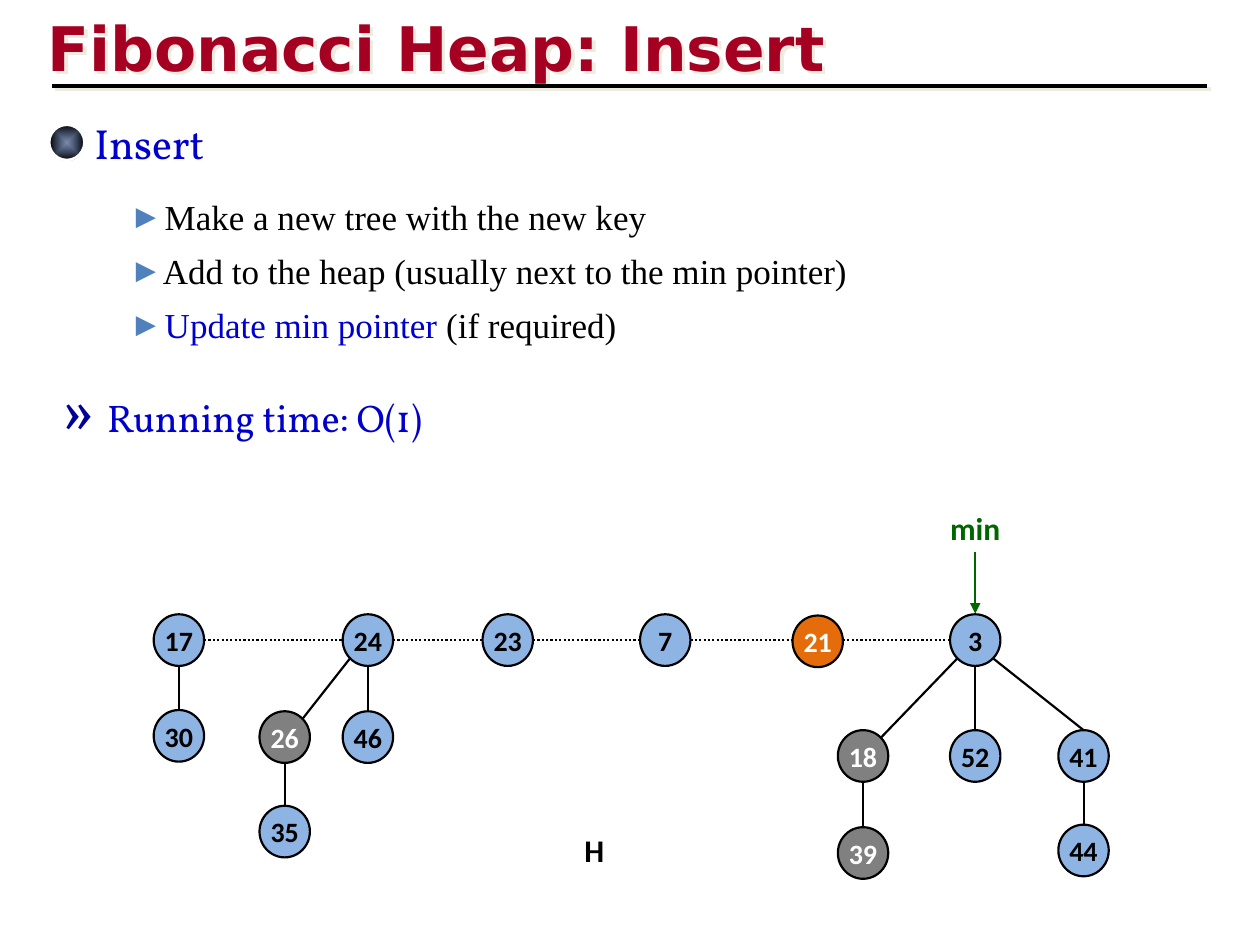
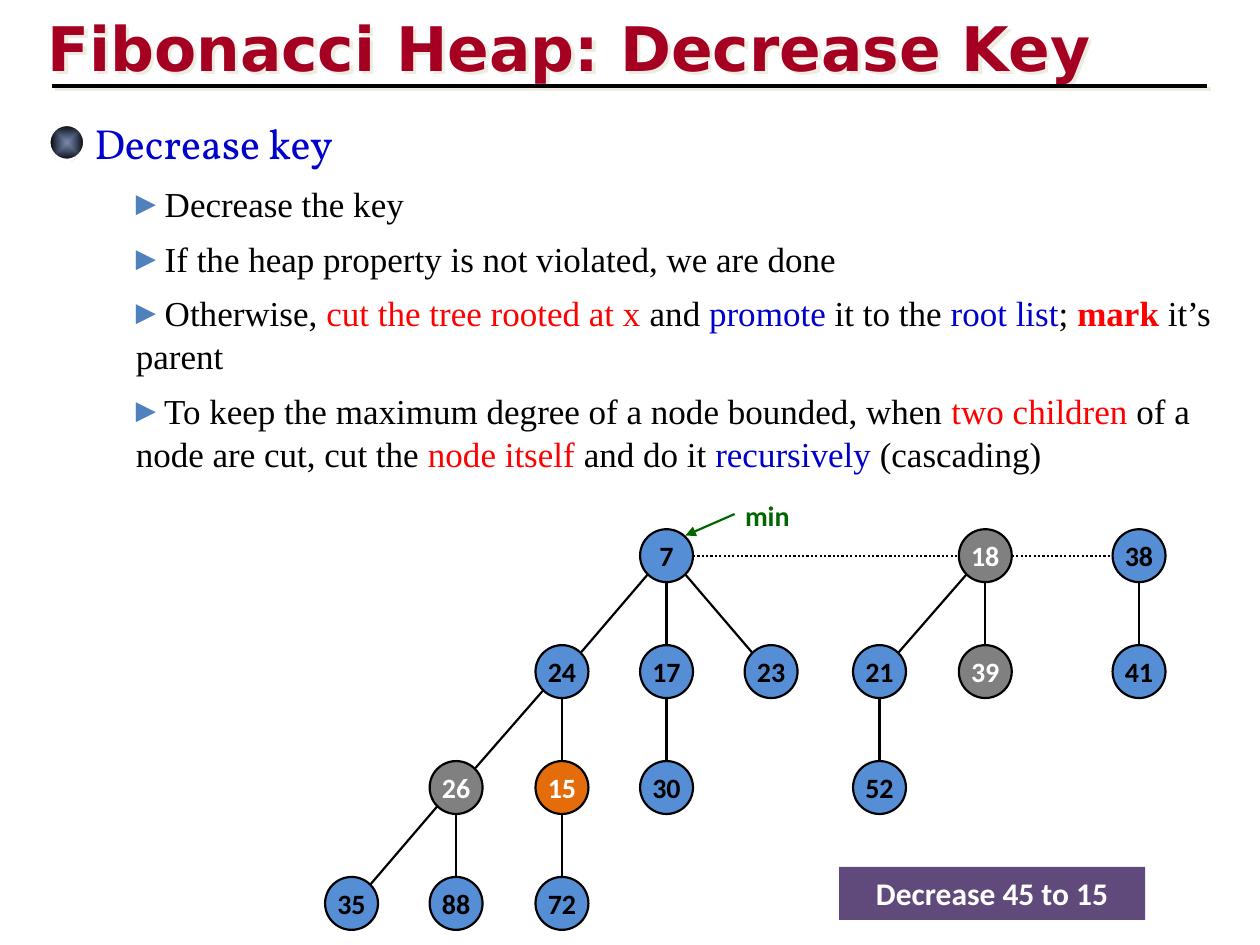
from dataclasses import dataclass
from itertools import pairwise
from math import hypot

from pptx import Presentation
from pptx.dml.color import RGBColor
from pptx.enum import dml, shapes, text
from pptx.oxml import parse_xml
from pptx.oxml.ns import nsdecls
from pptx.util import Inches, Pt


@dataclass(frozen=True)
class Theme:
    ink: str = "000000"
    white: str = "FFFFFF"
    title: str = "A50021"
    key: str = "0000CC"
    alert: str = "FF0000"
    quote: str = "000099"
    pointer: str = "006600"
    marked: str = "808080"
    changed: str = "E46C0A"
    banner: str = "604A7B"
    bullet: str = "4F81BD"
    shadow: str = "EEECE1"
    title_font: str = "DejaVu Sans"
    heading_font: str = "Vollkorn"
    body_font: str = "Times New Roman"
    node_font: str = "Calibri"
    title_size: float = 35.1
    heading_size: int = 24
    body_size: int = 20
    label_size: int = 18
    node_size: int = 16


theme = Theme()

# Runs are (words, colour) or (words, colour, bold).
# Nodes are key: (centre x, centre y, parent key, special fill).
insert = dict(
    title="Fibonacci Heap: Insert",
    heading="Insert",
    steps_top=1.49,
    steps=[
        [(" Make a new tree with the new key", theme.ink)],
        [(" Add to the heap (usually next to the min pointer)", theme.ink)],
        [(" Update min pointer ", theme.key), ("(if required)", theme.ink)],
    ],
    node_fill="8EB4E3",
    node_width=0.4,
    node_height=0.41,
    nodes={
        "17": (1.42, 5.08, None, None),
        "24": (2.92, 5.08, None, None),
        "23": (4.03, 5.08, None, None),
        "7": (5.28, 5.08, None, None),
        "21": (6.49, 5.09, None, theme.changed),
        "3": (7.74, 5.08, None, None),
        "30": (1.42, 5.84, "17", None),
        "26": (2.26, 5.85, "24", theme.marked),
        "46": (2.92, 5.85, "24", None),
        "35": (2.26, 6.6, "26", None),
        "18": (6.85, 6, "3", theme.marked),
        "52": (7.74, 6, "3", None),
        "41": (8.6, 6, "3", None),
        "39": (6.85, 6.77, "18", theme.marked),
        "44": (8.6, 6.75, "41", None),
    },
    min_at=(7.74, 4.19),
    min_size=theme.label_size,
    pointer=((7.74, 4.38), (7.74, 4.87)),
)

row = [4.41 + 0.92 * level for level in range(4)]
decrease_key = dict(
    title="Fibonacci Heap: Decrease Key",
    heading="Decrease key",
    steps_top=1.39,
    steps=[
        [(" Decrease the key", theme.ink)],
        [(" If the heap property is not violated, we are done", theme.ink)],
        [(" Otherwise, ", theme.ink), ("cut the tree rooted at x ", theme.alert),
         ("and ", theme.ink), ("promote", theme.key), (" it to the ", theme.ink),
         ("root list", theme.key), ("; ", theme.ink), ("mark ", theme.alert, True),
         ("it’s parent", theme.ink)],
        [(" To keep the maximum degree of a node bounded, when ", theme.ink),
         ("two children ", theme.alert), ("of a node are cut, cut the ", theme.ink),
         ("node itself ", theme.alert), ("and do it ", theme.ink),
         ("recursively", theme.key), (" (cascading)", theme.ink)],
    ],
    node_fill="558ED5",
    node_width=0.42,
    node_height=0.42,
    nodes={
        "7": (5.29, row[0], None, None),
        "18": (7.82, row[0], None, theme.marked),
        "38": (9.04, row[0], None, None),
        "24": (4.46, row[1], "7", None),
        "17": (5.29, row[1], "7", None),
        "23": (6.12, row[1], "7", None),
        "21": (6.98, row[1], "18", None),
        "39": (7.82, row[1], "18", theme.marked),
        "41": (9.04, row[1], "38", None),
        "26": (3.62, row[2], "24", theme.marked),
        "15": (4.46, row[2], "24", theme.changed),
        "30": (5.29, row[2], "17", None),
        "52": (6.98, row[2], "21", None),
        "35": (2.79, row[3], "26", None),
        "88": (3.62, row[3], "26", None),
        "72": (4.46, row[3], "15", None),
    },
    min_at=(6.09, 4.09),
    min_size=theme.node_size,
    pointer=((5.83, 4.08), (5.44, 4.25)),
)


def write(paragraph, runs, size, font, bold=False):
    """Add (words, colour[, bold]) runs to a paragraph."""
    for words, colour, *weight in runs:
        run = paragraph.add_run()
        run.text = words
        run.font.size = Pt(size)
        run.font.name = font
        run.font.bold = weight[0] if weight else bold
        run.font.color.rgb = RGBColor.from_string(colour)


def draw_line(slide, start, end, colour=theme.ink, width=1.25):
    line = slide.shapes.add_connector(
        shapes.MSO_CONNECTOR.STRAIGHT, *map(Inches, (*start, *end)))
    line.line.color.rgb = RGBColor.from_string(colour)
    line.line.width = Pt(width)
    line._element.spPr.append(parse_xml(f"<a:effectLst {nsdecls('a')}/>"))
    return line


shadow_xml = (
    f'<a:outerShdw {nsdecls("a")} dist="35560" dir="2700000" algn="ctr" '
    f'rotWithShape="0"><a:srgbClr val="{theme.shadow}"/></a:outerShdw>')
ball_xml = (
    f'<a:gradFill {nsdecls("a")} rotWithShape="1"><a:gsLst>'
    '<a:gs pos="0"><a:srgbClr val="002060"><a:alpha val="51000"/></a:srgbClr></a:gs>'
    f'<a:gs pos="100000"><a:srgbClr val="{theme.ink}"/></a:gs></a:gsLst>'
    '<a:path path="shape"><a:fillToRect l="50000" t="50000" r="50000" b="50000"/>'
    '</a:path></a:gradFill>')
bullet_xml = [
    f'<a:buClr {nsdecls("a")}><a:srgbClr val="{theme.bullet}"/></a:buClr>',
    f'<a:buSzPct {nsdecls("a")} val="75000"/>',
    f'<a:buFont {nsdecls("a")} typeface="{theme.title_font}"/>',
    f'<a:buChar {nsdecls("a")} char="▶"/>',
]
joined_at_top = {"41"}

deck = Presentation()
deck.slide_width, deck.slide_height = Inches(10), Inches(7.5)
slides = []

for topic in (insert, decrease_key):
    slide = deck.slides.add_slide(deck.slide_layouts[6])
    slides.append(slide)

    # Title and rule
    title = slide.shapes.add_textbox(*map(Inches, (0.28, 0.03, 9.3, 0.67)))
    title.text_frame.word_wrap = True
    write(title.text_frame.paragraphs[0], [(topic["title"], theme.title)],
          theme.title_size, theme.title_font, True)
    title_effects = parse_xml(f"<a:effectLst {nsdecls('a')}/>")
    title_effects.append(parse_xml(shadow_xml))
    title._element.spPr.append(title_effects)
    rule = draw_line(slide, (0.41, 0.68), (9.58, 0.68), width=2.25)
    rule._element.spPr[-1].append(parse_xml(shadow_xml))

    # Heading with its ball
    ball = slide.shapes.add_shape(
        shapes.MSO_SHAPE.OVAL, *map(Inches, (0.39, 0.99, 0.28, 0.28)))
    ball.shadow.inherit = False
    ball.line.color.rgb = RGBColor.from_string(theme.white)
    ball.line.width = Pt(1.5)
    ball._element.spPr.prstGeom.addnext(parse_xml(ball_xml))
    heading = slide.shapes.add_textbox(*map(Inches, (0.65, 0.88, 6.99, 0.5)))
    heading.text_frame.word_wrap = True
    write(heading.text_frame.paragraphs[0], [(topic["heading"], theme.key)],
          theme.heading_size, theme.heading_font)

    # Steps
    steps = slide.shapes.add_textbox(
        *map(Inches, (0.98, topic["steps_top"], 8.8, 0.1 + 0.4 * len(topic["steps"]))))
    steps.text_frame.word_wrap = True
    for number, runs in enumerate(topic["steps"]):
        step = steps.text_frame.paragraphs[0] if number == 0 else steps.text_frame.add_paragraph()
        for xml in bullet_xml:
            step._p.get_or_add_pPr().append(parse_xml(xml))
        step.line_spacing = 1.04
        if number:
            step.space_before = Pt(6)
        write(step, runs, theme.body_size, theme.body_font)

    # Root list and tree edges, from rim to rim
    nodes = topic["nodes"]
    half_width, half_height = topic["node_width"] / 2, topic["node_height"] / 2
    roots = [node for node in nodes.values() if node[2] is None]
    for left, right in pairwise(roots):
        link = draw_line(slide, (left[0] + half_width, roots[0][1]),
                         (right[0] - half_width, roots[0][1]))
        link.line.dash_style = dml.MSO_LINE.ROUND_DOT
    for key, (x, y, parent, _) in nodes.items():
        if parent is None:
            continue
        parent_x, parent_y = nodes[parent][:2]
        side = (x > parent_x) - (x < parent_x)
        reach = hypot(side, 1)
        start = (parent_x + side * half_width / reach, parent_y + half_height / reach)
        if key in joined_at_top:
            side, reach = 0, 1
        draw_line(slide, start, (x - side * half_width / reach, y - half_height / reach))

    # Nodes
    for key, (x, y, _, special_fill) in nodes.items():
        node = slide.shapes.add_shape(
            shapes.MSO_SHAPE.OVAL, Inches(x - half_width), Inches(y - half_height),
            Inches(topic["node_width"]), Inches(topic["node_height"]))
        node.shadow.inherit = False
        node.fill.solid()
        node.fill.fore_color.rgb = RGBColor.from_string(special_fill or topic["node_fill"])
        node.line.color.rgb = RGBColor.from_string(theme.ink)
        node.line.width = Pt(1.25)
        node.text_frame.word_wrap = False
        node.text_frame.vertical_anchor = text.MSO_ANCHOR.MIDDLE
        node.text_frame.paragraphs[0].alignment = text.PP_ALIGN.CENTER
        write(node.text_frame.paragraphs[0],
              [(key, theme.white if special_fill else theme.ink)],
              theme.node_size, theme.node_font, True)

    # Min pointer
    pointer = draw_line(slide, *topic["pointer"], colour=theme.pointer)
    pointer.line._get_or_add_ln().append(
        parse_xml(f'<a:tailEnd {nsdecls("a")} type="triangle"/>'))
    min_x, min_y = topic["min_at"]
    min_label = slide.shapes.add_textbox(
        *map(Inches, (min_x - 0.4, min_y - 0.2, 0.8, 0.4)))
    min_label.text_frame.vertical_anchor = text.MSO_ANCHOR.MIDDLE
    min_label.text_frame.word_wrap = True
    min_label.text_frame.paragraphs[0].alignment = text.PP_ALIGN.CENTER
    write(min_label.text_frame.paragraphs[0], [("min", theme.pointer)],
          topic["min_size"], theme.node_font, True)

insert_slide, decrease_slide = slides

heap_name = insert_slide.shapes.add_textbox(*map(Inches, (4.54, 6.55, 0.42, 0.4)))
heap_name.text_frame.word_wrap = True
write(heap_name.text_frame.paragraphs[0], [("H", theme.ink)],
      theme.label_size, theme.node_font, True)

running_time = insert_slide.shapes.add_textbox(*map(Inches, (0.31, 2.88, 7.44, 0.67)))
running_time.text_frame.word_wrap = True
cost = running_time.text_frame.paragraphs[0]
write(cost, [(" ", theme.ink)], 32, "Cambria")
write(cost, [("»", theme.quote)], 36, "Cambria")
write(cost, [(" ", theme.ink)], 32, "Cambria")
write(cost, [("Running time: O(1)", theme.key)], 22, theme.heading_font)

change = decrease_slide.shapes.add_shape(
    shapes.MSO_SHAPE.RECTANGLE, *map(Inches, (6.66, 6.88, 2.43, 0.42)))
change.shadow.inherit = False
change.fill.solid()
change.fill.fore_color.rgb = RGBColor.from_string(theme.banner)
change.line.fill.background()
change.text_frame.word_wrap = True
change.text_frame.paragraphs[0].alignment = text.PP_ALIGN.CENTER
write(change.text_frame.paragraphs[0], [("Decrease 45 to 15", theme.white)],
      theme.label_size, theme.node_font, True)

deck.save("out.pptx")
